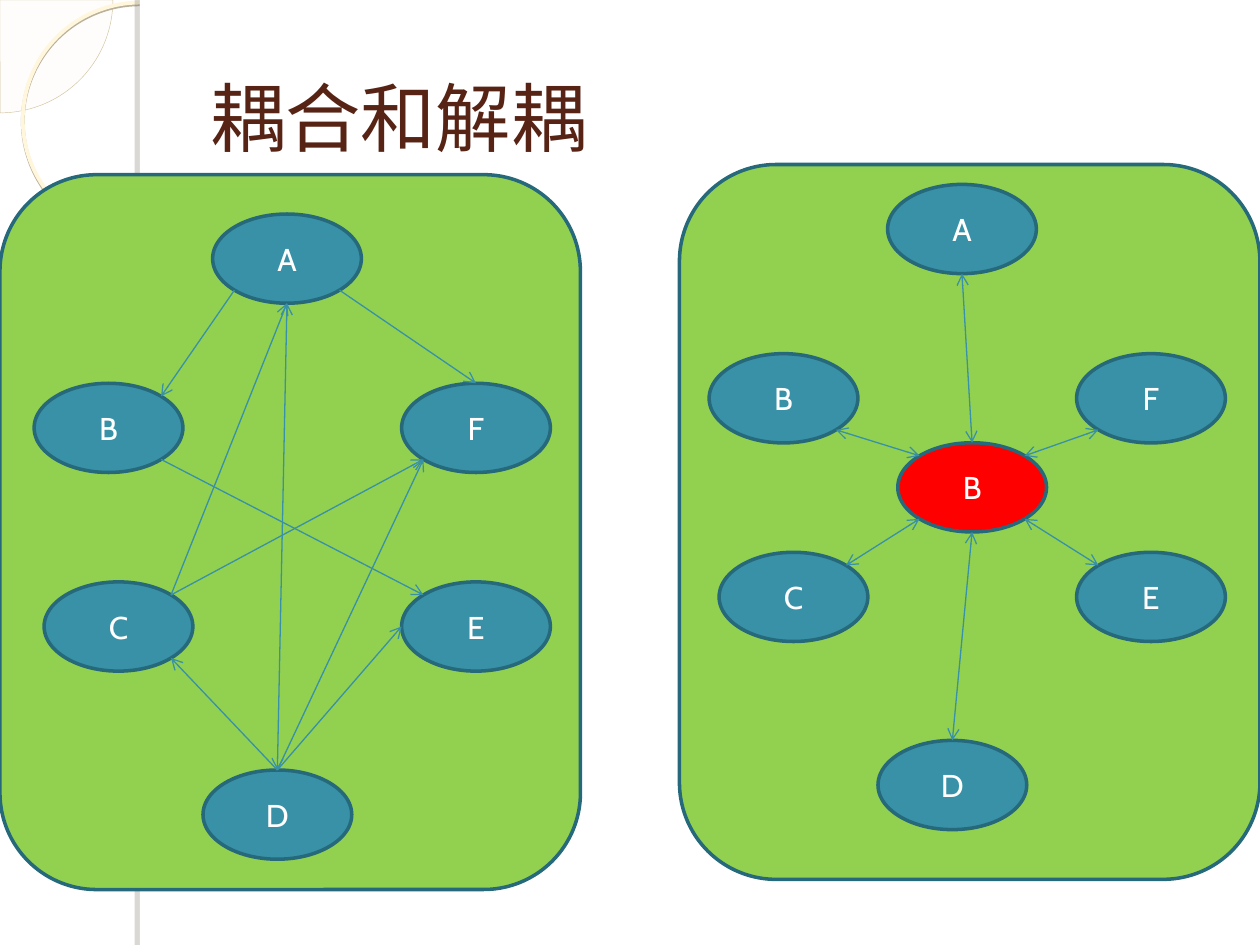
from math import cos, sin, radians

from lxml.etree import SubElement
from pptx import Presentation
from pptx.dml.color import RGBColor
from pptx.enum.shapes import MSO_CONNECTOR, MSO_SHAPE
from pptx.enum.text import MSO_ANCHOR, PP_ALIGN
from pptx.oxml.ns import qn
from pptx.util import Pt

FONT = "Cabin"
TEAL, EDGE, GREEN, RED, WHITE = "3891A7", "26697A", "92D050", "FF0000", "FFFFFF"
WIDE, HIGH = 85, 51  # size of a node

# Left and top of each node in the left panel
NODES = {
    "B": (19.5, 219), "C": (25.2, 332.5), "F": (229.5, 219),
    "E": (229.5, 332.5), "D": (116, 440), "A": (121.5, 122.3),
}
SHIFT = (385.7, -16.9)  # from the left group to the right one
HUB = (513, 253)

# Angles of the connection sites, clockwise from the right
SITES = {"r": 0, "br": 45, "b": 90, "bl": 135, "l": 180, "tl": 225, "t": 270, "tr": 315}

# Node, site, node, site
LINKS = [
    ("A", "bl", "B", "tr"), ("B", "br", "E", "tl"), ("C", "tr", "F", "bl"),
    ("C", "tr", "A", "b"), ("D", "t", "E", "l"), ("D", "t", "C", "br"),
    ("D", "t", "F", "bl"), ("A", "br", "F", "t"),
]
# Hub site, node, site
SPOKES = [
    ("b", "D", "t"), ("br", "E", "tl"), ("t", "A", "b"),
    ("tl", "B", "br"), ("bl", "C", "tr"), ("tr", "F", "bl"),
]


def paint(item, color):
    item.rgb = RGBColor.from_string(color)


def write(frame, text, size=18, color=WHITE, align=PP_ALIGN.CENTER):
    frame.word_wrap = True
    frame.vertical_anchor = MSO_ANCHOR.MIDDLE
    para = frame.paragraphs[0]
    para.alignment = align
    run = para.add_run()
    run.text = text
    run.font.name = FONT
    run.font.size = Pt(size)
    paint(run.font.color, color)


def draw(slide, kind, box, fill=None, line=None, width=2):
    shape = slide.shapes.add_shape(kind, *map(Pt, box))
    shape.shadow.inherit = False
    if fill:
        shape.fill.solid()
        paint(shape.fill.fore_color, fill)
    else:
        shape.fill.background()
    if line:
        paint(shape.line.color, line)
        shape.line.width = Pt(width)
    else:
        shape.line.fill.background()
    return shape


def fade(color, share):
    SubElement(color, qn("a:alpha"), val=str(share * 1000))


def shade(shape, color, share, dist, angle):
    effects = shape.element.spPr.find(qn("a:effectLst"))
    outer = SubElement(effects, qn("a:outerShdw"), blurRad="0", dist=str(Pt(dist)),
                       dir=str(angle * 60000), algn="ctr", rotWithShape="0")
    fade(SubElement(outer, qn("a:srgbClr"), val=color), share)


def node(slide, text, spot, fill=TEAL):
    oval = draw(slide, MSO_SHAPE.OVAL, (*spot, WIDE, HIGH), fill, EDGE)
    write(oval.text_frame, text)


def site(spot, name):
    turn = radians(SITES[name])
    return (spot[0] + WIDE / 2 * (1 + cos(turn)),
            spot[1] + HIGH / 2 * (1 + sin(turn)))


def arrow(slide, start, end, both=False):
    link = slide.shapes.add_connector(MSO_CONNECTOR.STRAIGHT, *map(Pt, start + end))
    paint(link.line.color, TEAL)
    link.line.width = Pt(0.75)
    pen = link.line._get_or_add_ln()
    for tag in ("a:headEnd", "a:tailEnd") if both else ("a:tailEnd",):
        SubElement(pen, qn(tag), type="arrow")
    SubElement(link._element.spPr, qn("a:effectLst"))


def backdrop(slide):
    # Quarter disc in the corner
    disc = draw(slide, MSO_SHAPE.PIE, (-64.5, -64.5, 129, 129), "FEFAF4", "D2C39E", 0.25)
    disc.adjustments[0] = 0
    disc.adjustments[1] = 54  # 90 degrees
    fade(disc.element.spPr.find(qn("a:solidFill"))[0], 33)
    # Ring, partly under the page
    ring = draw(slide, MSO_SHAPE.OVAL, (13, 1.5, 134, 134), line="FFF6DB", width=2.15)
    shade(ring, "AFA58D", 85, 1, 90)
    # Page and its edge
    draw(slide, MSO_SHAPE.RECTANGLE, (80, 0, 640, 540), WHITE)
    strip = draw(slide, MSO_SHAPE.RECTANGLE, (80, 0, 5.75, 540), WHITE)
    shade(strip, "706B5F", 25, 3, 180)


def heading(slide, text):
    title = slide.shapes.title
    title.left, title.top, title.width, title.height = map(Pt, (113, 21.5, 590, 90))
    write(title.text_frame, text, size=43, color="572314", align=PP_ALIGN.LEFT)
    slide.shapes.element.append(title.element)  # bring to front


def main():
    prs = Presentation()
    prs.slide_width, prs.slide_height = Pt(720), Pt(540)
    slide = prs.slides.add_slide(prs.slide_layouts[5])
    backdrop(slide)

    # Panels and title
    for left, top in ((388.3, 94), (0, 99.8)):
        draw(slide, MSO_SHAPE.ROUNDED_RECTANGLE, (left, top, 331.7, 408.5), GREEN, EDGE)
    heading(slide, "耦合和解耦")

    # Coupled group
    for name, spot in NODES.items():
        node(slide, name, spot)
    for one, out, two, into in LINKS:
        arrow(slide, site(NODES[one], out), site(NODES[two], into))
    arrow(slide, site(NODES["A"], "b"), site(NODES["D"], "t"), both=True)

    # Decoupled group around the hub
    moved = {name: (x + SHIFT[0], y + SHIFT[1]) for name, (x, y) in NODES.items()}
    for name, spot in moved.items():
        node(slide, name, spot)
    node(slide, "B", HUB, RED)
    for out, name, into in SPOKES:
        arrow(slide, site(HUB, out), site(moved[name], into), both=True)

    prs.save("out.pptx")


if __name__ == "__main__":
    main()
